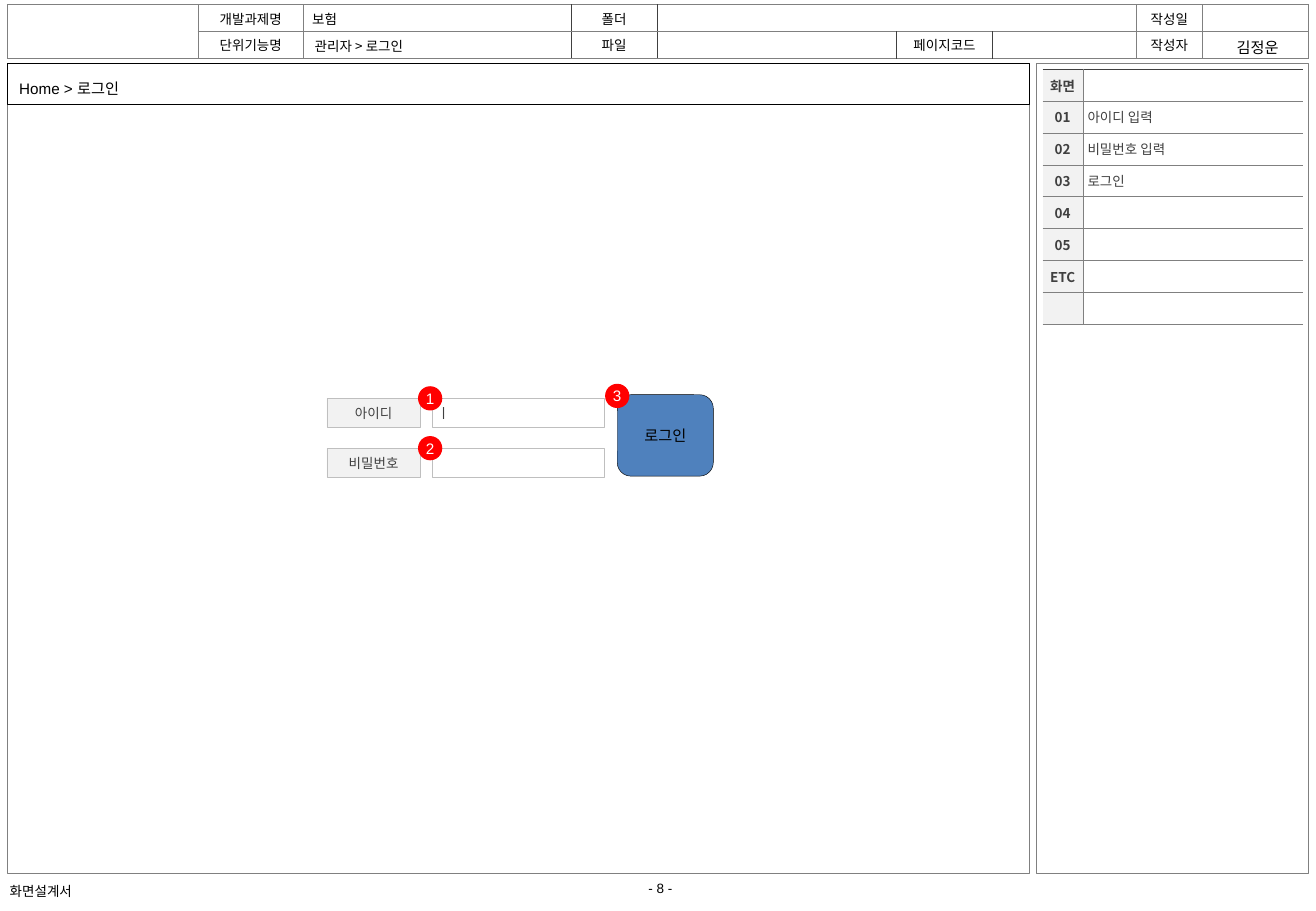
from lxml.etree import SubElement
from pptx import Presentation
from pptx.dml.color import RGBColor
from pptx.enum.shapes import MSO_SHAPE
from pptx.enum.text import MSO_ANCHOR, MSO_AUTO_SIZE, PP_ALIGN
from pptx.oxml.ns import qn
from pptx.util import Inches, Pt

BLACK = RGBColor(0x00, 0x00, 0x00)
WHITE = RGBColor(0xFF, 0xFF, 0xFF)
DARK = RGBColor(0x40, 0x40, 0x40)
GRAY = RGBColor(0x80, 0x80, 0x80)
SILVER = RGBColor(0xBF, 0xBF, 0xBF)
PALE = RGBColor(0xF2, 0xF2, 0xF2)
BLUE = RGBColor(0x4F, 0x81, 0xBD)
RED = RGBColor(0xFF, 0x00, 0x00)
KOREAN = "Noto Sans CJK KR"
LATIN = "Arial"

LEFT, CENTER = PP_ALIGN.LEFT, PP_ALIGN.CENTER


def write(frame, text, size=8, font=KOREAN, color=BLACK, bold=False, align=CENTER):
    paragraph = frame.paragraphs[0]
    paragraph.alignment = align
    if not text:
        # An empty cell keeps its row low only through its end mark.
        SubElement(paragraph._p, qn("a:endParaRPr"), sz=str(size * 100))
        return
    run = paragraph.add_run()
    run.text = text
    formats = {"size": Pt(size), "name": font, "bold": bold}
    for name, value in formats.items():
        setattr(run.font, name, value)
    run.font.color.rgb = color
    SubElement(run._r.get_or_add_rPr(), qn("a:ea"), typeface=KOREAN)


def set_margins(target, left, top, right, bottom):
    margins = {"left": left, "top": top, "right": right, "bottom": bottom}
    for side, value in margins.items():
        setattr(target, f"margin_{side}", Inches(value))


def add_box(slide, box, kind=MSO_SHAPE.RECTANGLE, fill=None, line=None, width=0.25,
            text="", margins=(0.1, 0.05, 0.1, 0.05), **text_format):
    shape = slide.shapes.add_shape(kind, *map(Inches, box))
    shape.shadow.inherit = False
    if fill is None:
        shape.fill.background()
    else:
        shape.fill.solid()
        shape.fill.fore_color.rgb = fill
    if line is None:
        shape.line.fill.background()
    else:
        shape.line.color.rgb = line
        shape.line.width = Pt(width)
    if text:
        frame = shape.text_frame
        frame.vertical_anchor = MSO_ANCHOR.MIDDLE
        set_margins(frame, *margins)
        write(frame, text, **text_format)
    return shape


def add_label(slide, box, text, margins=(0.1, 0.05, 0.1, 0.05), **text_format):
    frame = slide.shapes.add_textbox(*map(Inches, box)).text_frame
    frame.word_wrap = False
    set_margins(frame, *margins)
    write(frame, text, font=LATIN, **text_format)


def set_borders(cell, **borders):
    """Draw each side L, R, T, B given as (colour, width); other sides get none."""
    properties = cell._tc.get_or_add_tcPr()
    for side in "LRTB":
        color, width = borders.get(side) or (None, 0)
        line = SubElement(properties, qn(f"a:ln{side}"), w=str(Pt(width)))
        if color is None:
            SubElement(line, qn("a:noFill"))
        else:
            fill = SubElement(line, qn("a:solidFill"))
            SubElement(fill, qn("a:srgbClr"), val=str(color))


def add_plain_table(slide, box, columns, row_count):
    table = slide.shapes.add_table(row_count, len(columns), *map(Inches, box)).table
    table.first_row = table.horz_banding = False
    for column, width in zip(table.columns, columns):
        column.width = Inches(width)
    for row in table.rows:
        row.height = Inches(box[3] / row_count)
    return table


def add_header(slide, box):
    columns = [1.57, 0.87, 2.2, 0.71, 1.97, 0.79, 1.18, 0.55, 0.87]
    rows = [
        ["", "개발과제명", "보험", "폴더", "", "", "", "작성일", ""],
        ["", "단위기능명", "", "파일", "", "페이지코드", "", "작성자", ""],
    ]
    table = add_plain_table(slide, box, columns, len(rows))
    table.cell(0, 0).merge(table.cell(1, 0))
    table.cell(0, 4).merge(table.cell(0, 6))
    gray, dark = (GRAY, 0.5), (DARK, 0.25)
    dark_edges = range(3, 7)
    for row, texts in enumerate(rows):
        for column, text in enumerate(texts):
            cell = table.cell(row, column)
            right_edge = column + (cell.span_width if cell.is_merge_origin else 1)
            set_borders(cell, T=gray, B=gray,
                        L=dark if column in dark_edges else gray,
                        R=dark if right_edge in dark_edges else gray)
            cell.fill.background()
            cell.vertical_anchor = MSO_ANCHOR.MIDDLE
            set_margins(cell, 0.07 if column == 2 else 0.04, 0.02, 0.04, 0.02)
            write(cell.text_frame, text, align=LEFT if column == 2 else CENTER)
    left, top = box[:2]
    add_label(slide, (left + 10, top + 0.23, 0.58, 0.25), "김정운", size=9)


def set_title(slide, box, text):
    title = slide.shapes.title
    for name, value in zip(("left", "top", "width", "height"), box):
        setattr(title, name, Inches(value))
    frame = title.text_frame
    frame.auto_size = MSO_AUTO_SIZE.NONE
    frame.vertical_anchor = MSO_ANCHOR.MIDDLE
    write(frame, text, align=LEFT)


def add_description_panel(slide, box):
    add_box(slide, box, fill=WHITE, line=GRAY, width=0.5)
    rows = [("화면", ""), ("01", "아이디 입력"), ("02", "비밀번호 입력"), ("03", "로그인"),
            ("04", ""), ("05", ""), ("ETC", ""), ("", "")]
    left, top = box[:2]
    table = add_plain_table(slide, (left + 0.05, top + 0.05, 2.14, 2.1),
                            [0.33, 1.81], len(rows))
    thin = (GRAY, 0.25)
    for row, (number, description) in enumerate(rows):
        above = thin if row else (DARK, 0.5)
        number_cell, description_cell = table.cell(row, 0), table.cell(row, 1)
        set_borders(number_cell, T=above, R=thin, B=thin)
        set_borders(description_cell, T=above, L=thin, B=thin)
        number_cell.fill.solid()
        number_cell.fill.fore_color.rgb = PALE
        description_cell.fill.background()
        set_margins(number_cell, 0, 0.05, 0, 0.05)
        set_margins(description_cell, 0.04, 0.05, 0, 0.05)
        for cell in (number_cell, description_cell):
            cell.vertical_anchor = MSO_ANCHOR.MIDDLE
        write(number_cell.text_frame, number, color=DARK, bold=True)
        write(description_cell.text_frame, description, color=DARK, align=LEFT)


def add_screen_area(slide, box):
    add_box(slide, box, line=GRAY, width=0.5)
    left, top, width, _ = box
    breadcrumb = add_box(slide, (left, top, width, 0.34), line=BLACK,
                         text="Home > 로그인", size=9, font=LATIN, align=LEFT)
    breadcrumb.text_frame.paragraphs[0].line_spacing = 1.5
    add_login_form(slide, left + 2.63, top + 2.73)


def add_login_form(slide, left, top):
    field_left = left + 0.87
    button_left = left + 2.39
    for row, (label, entry) in enumerate([("아이디", "ㅣ"), ("비밀번호", "")]):
        row_top = top + 0.03 + 0.41 * row
        add_box(slide, (field_left, row_top, 1.41, 0.24), fill=WHITE, line=SILVER,
                text=entry, margins=(0.04, 0.05, 0.1, 0.05), color=DARK, align=LEFT)
        add_box(slide, (left, row_top, 0.77, 0.24), fill=PALE, line=SILVER,
                text=label, margins=(0.06, 0.05, 0.06, 0.05), color=DARK)
        add_badge(slide, field_left - 0.12, row_top - 0.1, str(row + 1))
    add_box(slide, (button_left, top, 0.79, 0.67), MSO_SHAPE.ROUNDED_RECTANGLE,
            fill=BLUE, line=BLACK, text="로그인", size=9, font=LATIN)
    add_badge(slide, button_left - 0.1, top - 0.09, "3")


def add_badge(slide, left, top, number):
    add_box(slide, (left, top, 0.2, 0.2), MSO_SHAPE.OVAL, fill=RED, text=number,
            margins=(0, 0, 0, 0), size=9, font=LATIN, color=WHITE)


def add_footer(slide, top):
    add_label(slide, (5.18, top, 0.51, 0.23), "- 8 -")
    add_label(slide, (0, top + 0.02, 0.74, 0.24), "화면설계서",
              margins=(0.08, 0.05, 0, 0.05), align=LEFT)


def main():
    presentation = Presentation()
    presentation.slide_width = Inches(10.83)
    presentation.slide_height = Inches(7.5)
    slide = presentation.slides.add_slide(presentation.slide_layouts[5])
    add_header(slide, (0.06, 0.04, 10.71, 0.44))
    set_title(slide, (2.49, 0.26, 2.93, 0.24), "관리자 > 로그인")
    add_screen_area(slide, (0.06, 0.52, 8.41, 6.67))
    add_description_panel(slide, (8.53, 0.52, 2.24, 6.67))
    add_footer(slide, 7.2)
    presentation.save("out.pptx")


if __name__ == "__main__":
    main()
